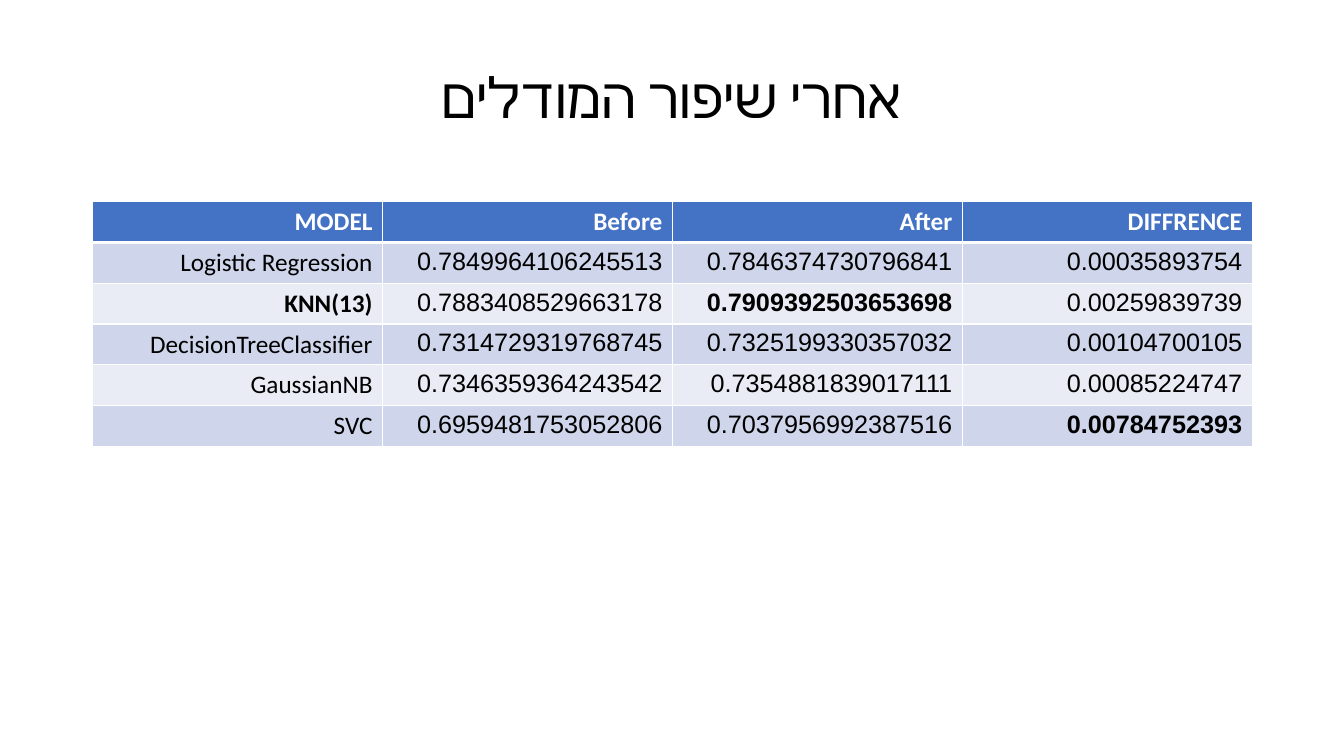
from lxml import etree
from pptx import Presentation
from pptx.dml.color import RGBColor
from pptx.enum.text import MSO_ANCHOR, PP_ALIGN
from pptx.oxml.ns import qn
from pptx.util import Inches, Pt

CENTER, RIGHT = PP_ALIGN.CENTER, PP_ALIGN.RIGHT
MIDDLE, TOP = MSO_ANCHOR.MIDDLE, MSO_ANCHOR.TOP

FONT = "Calibri"
NUMBER_FONT = "Arial"
BLACK, WHITE = "000000", "FFFFFF"
HEADER_FILL = "4472C4"
BAND_FILLS = ("CFD5EA", "E9EBF5")

TITLE = "אחרי שיפור המודלים"
RESULTS = [
    ("MODEL", "Before", "After", "DIFFRENCE"),
    ("Logistic Regression", "0.7849964106245513", "0.7846374730796841", "0.00035893754"),
    ("KNN(13)", "0.7883408529663178", "0.7909392503653698", "0.00259839739"),
    ("DecisionTreeClassifier", "0.7314729319768745", "0.7325199330357032", "0.00104700105"),
    ("GaussianNB", "0.7346359364243542", "0.7354881839017111", "0.00085224747"),
    ("SVC", "0.6959481753052806", "0.7037956992387516", "0.00784752393"),
]
BEST_RESULTS = {"KNN(13)", "0.7909392503653698", "0.00784752393"}


def color(value):
    return RGBColor.from_string(value)


def add_text(paragraph, text, size, text_color, alignment, complex_font, bold=False):
    paragraph.alignment = alignment
    paragraph._p.get_or_add_pPr().set("rtl", "1")
    run = paragraph.add_run()
    run.text = text
    run.font.name = FONT
    run.font.size = Pt(size)
    run.font.bold = bold
    run.font.color.rgb = color(text_color)
    properties = run._r.get_or_add_rPr()
    etree.SubElement(properties, qn("a:cs")).set("typeface", complex_font)


def set_border(cell, side, width):
    line = etree.SubElement(cell._tc.get_or_add_tcPr(), qn(f"a:ln{side}"))
    line.set("w", str(Pt(width)))
    fill = etree.SubElement(line, qn("a:solidFill"))
    etree.SubElement(fill, qn("a:srgbClr")).set("val", WHITE)


def add_title(slide, left, top, width, height):
    box = slide.shapes.add_textbox(Inches(left), Inches(top), Inches(width), Inches(height))
    frame = box.text_frame
    frame.word_wrap = True
    frame.vertical_anchor = MIDDLE
    paragraph = frame.paragraphs[0]
    paragraph.line_spacing = 0.9
    add_text(paragraph, TITLE, 40, BLACK, CENTER, FONT)


def style_cell(cell, text, row):
    header = row == 0
    set_border(cell, "L", 1)
    set_border(cell, "R", 1)
    set_border(cell, "T", 3 if row == 1 else 1)
    set_border(cell, "B", 3 if header else 1)
    cell.fill.solid()
    cell.fill.fore_color.rgb = color(HEADER_FILL if header else BAND_FILLS[(row - 1) % 2])
    cell.vertical_anchor = MIDDLE if text == "Logistic Regression" else TOP
    add_text(cell.text_frame.paragraphs[0], text, 18, WHITE if header else BLACK,
             RIGHT, NUMBER_FONT, header or text in BEST_RESULTS)


def add_results(slide, left, top, width, height):
    row_count, column_count = len(RESULTS), len(RESULTS[0])
    table = slide.shapes.add_table(row_count, column_count, Inches(left), Inches(top),
                                   Inches(width), Inches(height)).table
    for column in table.columns:
        column.width = Inches(width / column_count)
    for row, values in enumerate(RESULTS):
        table.rows[row].height = Inches(height / row_count)
        for column, text in enumerate(values):
            style_cell(table.cell(row, column), text, row)


def main():
    presentation = Presentation()
    presentation.slide_width = Inches(13.33)
    presentation.slide_height = Inches(7.5)
    slide = presentation.slides.add_slide(presentation.slide_layouts[6])
    add_title(slide, 0.92, 0.19, 11.5, 1.62)
    add_results(slide, 0.92, 2, 11.5, 2.43)
    presentation.save("out.pptx")


if __name__ == "__main__":
    main()
